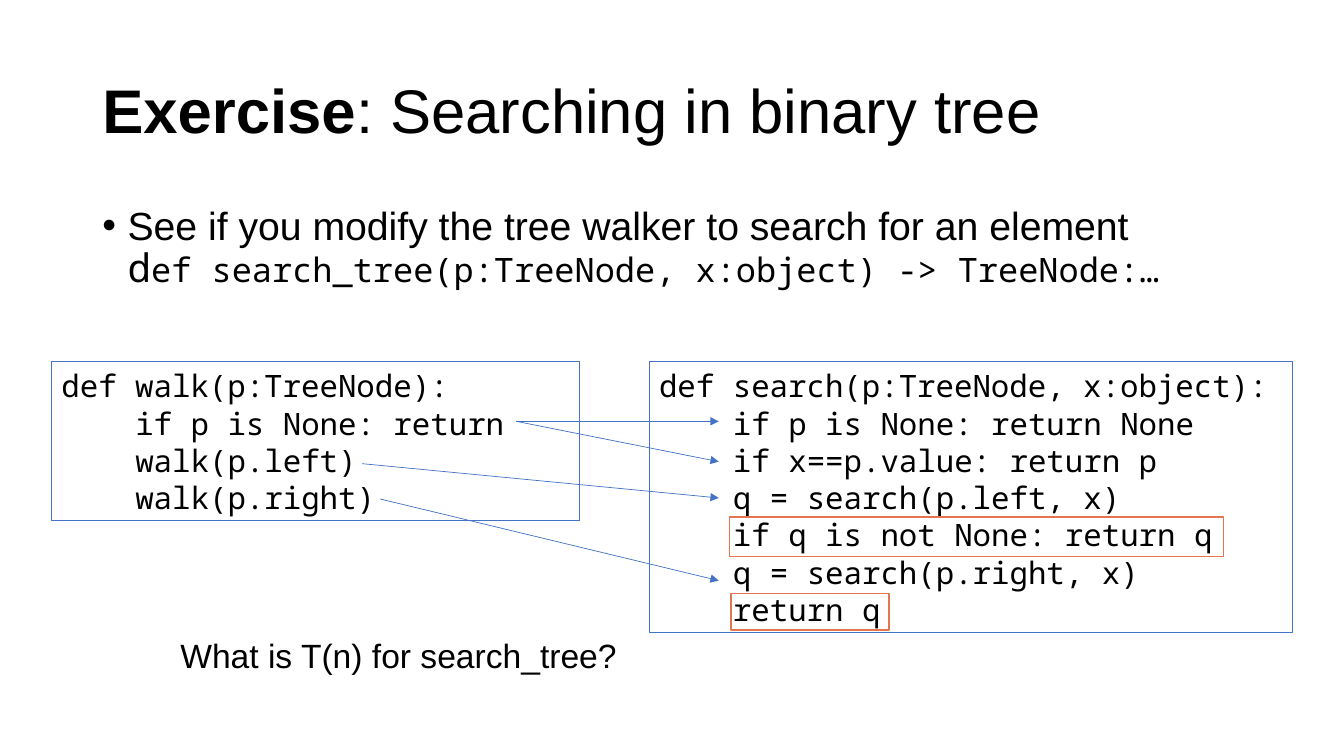
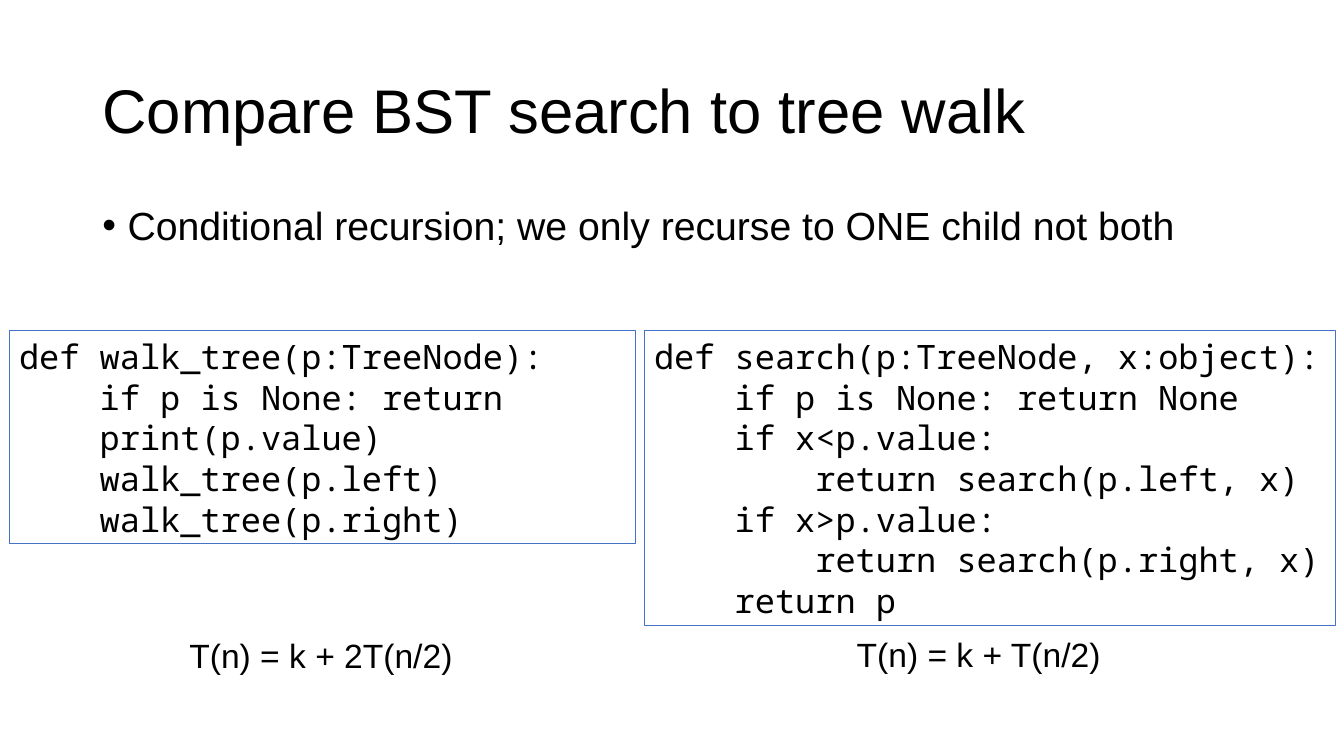
"""Build two slides that compare walking a binary tree with searching it."""
from dataclasses import dataclass
from typing import NamedTuple

from lxml.etree import SubElement as Sub
from pptx import Presentation
from pptx.dml.color import RGBColor as Rgb
from pptx.enum.shapes import MSO_CONNECTOR as Conn, MSO_SHAPE as Kind
from pptx.enum.text import MSO_ANCHOR as Anchor, PP_ALIGN as Align
from pptx.oxml.ns import qn
from pptx.util import Emu, Inches, Pt


@dataclass(frozen=True)
class Theme:
    ink: Rgb = Rgb.from_string("000000")
    blue: Rgb = Rgb.from_string("4472C4")
    coral: Rgb = Rgb.from_string("E4754F")
    sans: str = "Arial"
    mono: str = "Noto Sans Mono"
    head: int = 44
    body: int = 28
    note: int = 24
    lead: float = 1.21
    pitch: float = 0.6
    inset: float = 3.6


class Box(NamedTuple):
    """Left, top, width and height in percent of the slide."""
    x: float
    y: float
    w: float
    h: float


class Span(NamedTuple):
    text: str
    size: float
    font: str
    bold: bool = False


class Code(NamedTuple):
    x: float
    y: float
    w: float
    size: int
    lines: tuple[str, ...]


class Note(NamedTuple):
    box: Box
    text: str


class Arrow(NamedTuple):
    x: float
    y: float
    to_x: float
    to_y: float


class Page(NamedTuple):
    title: tuple[Span, ...]
    point: tuple[tuple[Span, ...], ...]
    codes: tuple[Code, ...]
    notes: tuple[Note, ...]
    arrows: tuple[Arrow, ...] = ()
    marks: tuple[Box, ...] = ()


LOOK = Theme()
WIDE, TALL = Inches(13.333), Inches(7.5)
TITLE = Box(6.88, 5.33, 86.25, 19.33)
BODY = Box(6.88, 26.67, 86.25, 63.47)
TIP = 53.48


def head(text: str, bold: bool = False) -> Span:
    return Span(text, LOOK.head, LOOK.sans, bold)


def body(text: str) -> Span:
    return Span(text, LOOK.body, LOOK.sans)


PAGES = (
    Page(
        title=(head("Exercise", True), head(": Searching in binary tree")),
        point=(
            (body("See if you modify the tree walker to search for an element"),),
            (Span("d", LOOK.body, LOOK.mono),
             Span("ef search_tree(p:TreeNode, x:object) -> TreeNode:…", LOOK.note, LOOK.mono)),
        ),
        codes=(
            Code(48.3, 47.87, 47.85, 22, (
                "def search(p:TreeNode, x:object):",
                "\tif p is None: return None",
                "\tif x==p.value: return p",
                "\tq = search(p.left, x)",
                "\tif q is not None: return q",
                "\tq = search(p.right, x)",
                "\treturn q")),
            Code(3.83, 47.87, 39.3, 22, (
                "def walk(p:TreeNode):",
                "\tif p is None: return",
                "\twalk(p.left)",
                "\twalk(p.right)")),
        ),
        notes=(Note(Box(12.68, 83.33, 34.28, 6.67), "What is T(n) for search_tree?"),),
        arrows=(
            Arrow(38.4, 55.73, TIP, 55.73),
            Arrow(38.4, 55.73, TIP, 61.07),
            Arrow(26.93, 61.33, TIP, 65.87),
            Arrow(28.28, 66, TIP, 76.8),
        ),
        marks=(Box(54.3, 68.4, 36.75, 5.2), Box(54.38, 78.53, 11.78, 4.8)),
    ),
    Page(
        title=(head("Compare BST search to tree walk"),),
        point=((body("Conditional recursion; we only recurse to ONE child not both"),),),
        codes=(
            Code(0.68, 43.73, 46.58, 24, (
                "def walk_tree(p:TreeNode):",
                "\tif p is None: return",
                "\tprint(p.value)",
                "\twalk_tree(p.left)",
                "\twalk_tree(p.right)")),
            Code(47.93, 43.73, 51.45, 24, (
                "def search(p:TreeNode, x:object):",
                "\tif p is None: return None",
                "\tif x<p.value:",
                "\t\treturn search(p.left, x)",
                "\tif x>p.value:",
                "\t\treturn search(p.right, x)",
                "\treturn p")),
        ),
        notes=(
            Note(Box(13.35, 83.33, 21.3, 6.67), "T(n) = k + 2T(n/2)"),
            Note(Box(63, 83.2, 19.8, 6.67), "T(n) = k + T(n/2)"),
        ),
    ),
)


def across(part: float) -> Emu:
    return Emu(round(WIDE * part / 100))


def down(part: float) -> Emu:
    return Emu(round(TALL * part / 100))


def place(box: Box) -> tuple[Emu, Emu, Emu, Emu]:
    return across(box.x), down(box.y), across(box.w), down(box.h)


def style(font, size: float, name: str, bold: bool = False) -> None:
    font.size, font.name, font.bold = Pt(size), name, bold
    font.color.rgb = LOOK.ink


def fill(para, spans: tuple[Span, ...]) -> None:
    for span in spans:
        run = para.add_run()
        run.text = span.text
        style(run.font, span.size, span.font, span.bold)


def label(slide, box: Box, wrap: bool = True):
    frame = slide.shapes.add_textbox(*place(box)).text_frame
    frame.word_wrap = wrap
    return frame


def add_title(slide, spans: tuple[Span, ...]) -> None:
    frame = label(slide, TITLE)
    frame.vertical_anchor = Anchor.MIDDLE
    para = frame.paragraphs[0]
    para.line_spacing = 0.9
    fill(para, spans)


def add_point(slide, rows: tuple[tuple[Span, ...], ...]) -> None:
    para = label(slide, BODY).paragraphs[0]
    props = para._p.get_or_add_pPr()
    props.set("marL", str(Inches(0.25)))
    props.set("indent", str(-Inches(0.25)))
    Sub(props, qn("a:buFont"), typeface=LOOK.sans)
    Sub(props, qn("a:buChar"), char="•")
    para.line_spacing = Pt(30)
    for i, row in enumerate(rows):
        if i:
            para.add_line_break()
        fill(para, row)


def add_note(slide, note: Note) -> None:
    para = label(slide, note.box, wrap=False).paragraphs[0]
    para.text = note.text
    style(para.font, LOOK.note, LOOK.sans)


def add_rect(slide, box: Box, tint: Rgb, width: float):
    rect = slide.shapes.add_shape(Kind.RECTANGLE, *place(box))
    rect.shadow.inherit = False
    rect.fill.background()
    rect.line.color.rgb, rect.line.width = tint, Pt(width)
    return rect


def add_code(slide, code: Code) -> None:
    step = code.size * LOOK.lead
    high = Pt(len(code.lines) * step + 2 * LOOK.inset) / TALL * 100
    frame = add_rect(slide, Box(code.x, code.y, code.w, high), LOOK.blue, 0.75).text_frame
    frame.word_wrap, frame.vertical_anchor = True, Anchor.TOP
    for i, line in enumerate(code.lines):
        para = frame.add_paragraph() if i else frame.paragraphs[0]
        para.text = line.lstrip("\t")
        para.alignment, para.line_spacing = Align.LEFT, Pt(step)
        shift = Pt(line.count("\t") * 4 * LOOK.pitch * code.size)
        para._p.get_or_add_pPr().set("marL", str(shift))
        style(para.font, code.size, LOOK.mono)


def add_arrow(slide, arrow: Arrow) -> None:
    link = slide.shapes.add_connector(
        Conn.STRAIGHT, across(arrow.x), down(arrow.y), across(arrow.to_x), down(arrow.to_y))
    link.line.color.rgb, link.line.width = LOOK.blue, Pt(0.5)
    props = link._element.spPr
    Sub(props.find(qn("a:ln")), qn("a:tailEnd"), type="triangle")
    Sub(props, qn("a:effectLst"))


def draw(slide, page: Page) -> None:
    add_title(slide, page.title)
    add_point(slide, page.point)
    for note in page.notes:
        add_note(slide, note)
    for code in page.codes:
        add_code(slide, code)
    for arrow in page.arrows:
        add_arrow(slide, arrow)
    for mark in page.marks:
        add_rect(slide, mark, LOOK.coral, 1)


def main() -> None:
    deck = Presentation()
    deck.slide_width, deck.slide_height = WIDE, TALL
    for page in PAGES:
        draw(deck.slides.add_slide(deck.slide_layouts[6]), page)
    deck.save("out.pptx")


if __name__ == "__main__":
    main()
